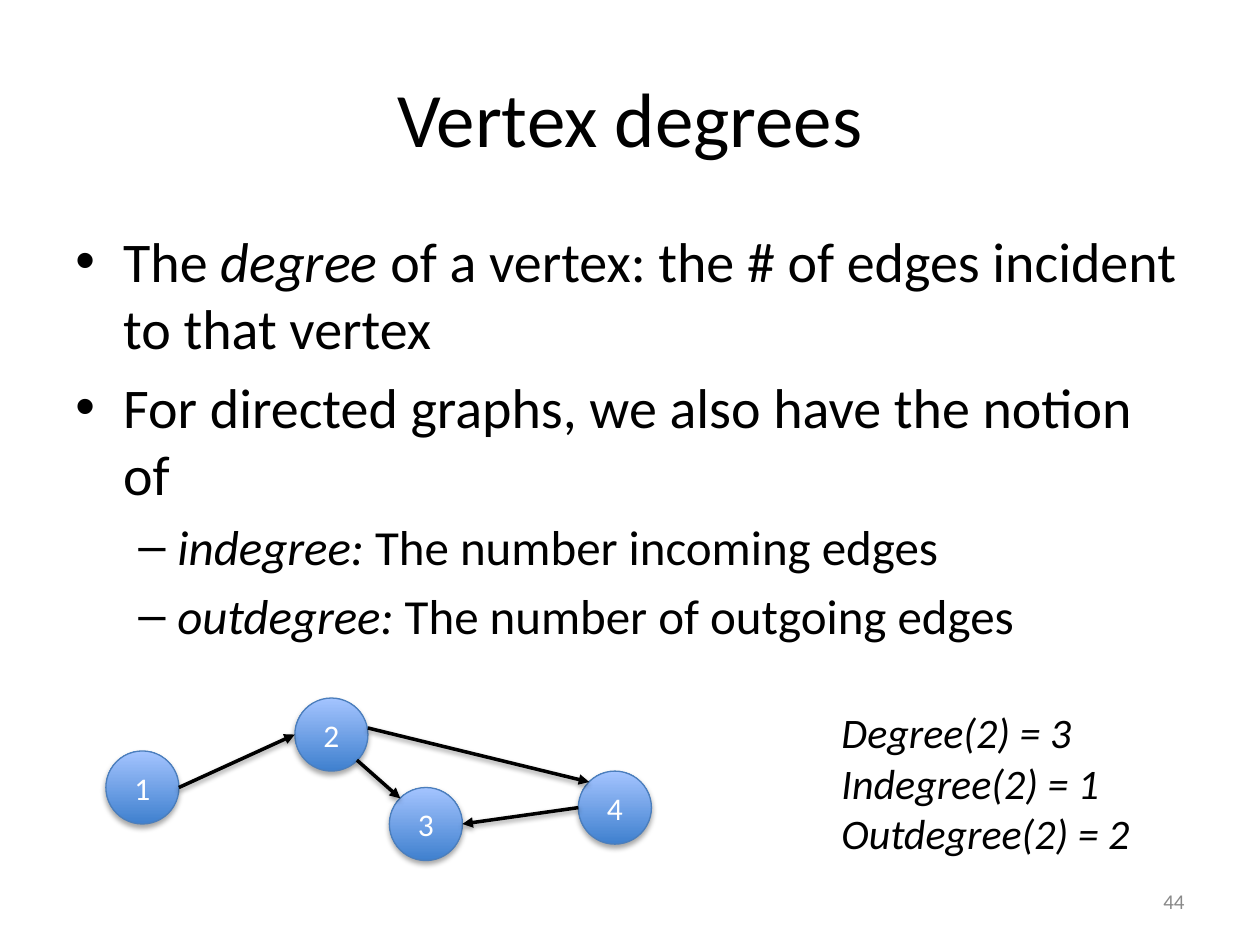
from pptx import Presentation
from pptx.dml.color import RGBColor as RGB
from pptx.enum.shapes import MSO_CONNECTOR as LINE, MSO_SHAPE as FORM
from pptx.enum.text import MSO_ANCHOR as ANCHOR, PP_ALIGN as ALIGN
from pptx.oxml import parse_xml
from pptx.oxml.ns import nsdecls
from pptx.util import Inches, Pt

theme = dict(
    font="Calibri", ink="000000", pale="FFFFFF", grey="898989", rim="4B7EBC",
    deep="3F80CE", light="A4C4FF",
    title=44, body=32, sub=28, note=24, node=18, page=12,
)

deck = Presentation()
deck.slide_width, deck.slide_height = Inches(10), Inches(7.5)
col, row = deck.slide_width / 10, deck.slide_height / 7.5
slide = deck.slides.add_slide(deck.slide_layouts[5])
shapes = slide.shapes


def style(para, size, ink="ink", align=ALIGN.LEFT):
    para.alignment = align
    font = para.font
    font.name, font.size = theme["font"], Pt(theme[size])
    font.color.rgb = RGB.from_string(theme[ink])
    return font


def shade(shape, alpha, dist):
    props = shape._element.spPr
    for old in props.findall("{*}effectLst"):
        props.remove(old)
    props.append(parse_xml(
        f'<a:effectLst {nsdecls("a")}><a:outerShdw blurRad="{Pt(3.1)}" '
        f'dist="{Pt(dist)}" dir="5400000" rotWithShape="0"><a:srgbClr val="{theme["ink"]}">'
        f'<a:alpha val="{alpha * 1000}"/></a:srgbClr></a:outerShdw></a:effectLst>'))


# Title
title = shapes.title
title.left, title.top = int(0.5 * col), int(0.3 * row)
title.width, title.height = int(9 * col), int(1.25 * row)
title.text_frame.text = "Vertex degrees"
title.text_frame.vertical_anchor = ANCHOR.MIDDLE
style(title.text_frame.paragraphs[0], "title", align=ALIGN.CENTER)

# Bullets: level, then runs as (text, italic)
points = [
    (0, [("The ", False), ("degree", True),
         (" of a vertex: the # of edges incident to that vertex", False)]),
    (0, [("For directed graphs, we also have the notion of", False)]),
    (1, [("indegree: ", True), ("The number incoming edges", False)]),
    (1, [("outdegree:", True), (" The number of outgoing edges", False)]),
]
levels = [("body", "•", 0.38, 0.38), ("sub", "–", 0.81, 0.31)]
frame = shapes.add_textbox(
    int(0.5 * col), int(1.75 * row), int(9 * col), int(3.5 * row)).text_frame
frame.word_wrap = True
for i, (level, runs) in enumerate(points):
    size, mark, left, hang = levels[level]
    para = frame.add_paragraph() if i else frame.paragraphs[0]
    para.level = level
    if i:
        para.space_before = Pt(theme[size] * 0.2)
    props = para._p.get_or_add_pPr()
    props.set("marL", str(Inches(left)))
    props.set("indent", str(-Inches(hang)))
    props.append(parse_xml(f'<a:buFont {nsdecls("a")} typeface="Arial"/>'))
    props.append(parse_xml(f'<a:buChar {nsdecls("a")} char="{mark}"/>'))
    style(para, size)
    for text, slant in runs:
        run = para.add_run()
        run.text = text
        run.font.italic = slant

# Graph nodes: left and top in columns and rows
side = 0.58
nodes = {1: (0.84, 5.96), 2: (2.34, 5.54), 4: (4.59, 6.12), 3: (3.09, 6.25)}
for name, (x, y) in nodes.items():
    node = shapes.add_shape(FORM.OVAL, int(x * col), int(y * row),
                            int(side * col), int(side * row))
    node.fill.gradient()
    node.fill.gradient_angle = 90
    for stop, ink, spot in zip(node.fill.gradient_stops, ("deep", "light"), (0, 1)):
        stop.color.rgb = RGB.from_string(theme[ink])
        stop.position = spot
    node.line.color.rgb = RGB.from_string(theme["rim"])
    node.line.width = Pt(0.75)
    shade(node, 35, 1.8)
    node.text_frame.text = str(name)
    node.text_frame.vertical_anchor = ANCHOR.MIDDLE
    style(node.text_frame.paragraphs[0], "node", "pale", ALIGN.CENTER)

# Directed edges: each end is a share of its node's box
edges = [
    (2, (0.85, 0.85), 3, (0.15, 0.15)),
    (2, (1, 0.41), 4, (0.15, 0.15)),
    (1, (1, 0.5), 2, (0, 0.5)),
    (4, (0, 0.5), 3, (1, 0.5)),
]
for start, out, end, into in edges:
    ends = []
    for name, (across, down) in ((start, out), (end, into)):
        x, y = nodes[name]
        ends += [int((x + across * side) * col), int((y + down * side) * row)]
    edge = shapes.add_connector(LINE.STRAIGHT, *ends)
    edge.line.color.rgb = RGB.from_string(theme["ink"])
    edge.line.width = Pt(2)
    edge.line._get_or_add_ln().append(
        parse_xml(f'<a:tailEnd {nsdecls("a")} type="triangle"/>'))
    shade(edge, 38, 1.6)

# Degrees of vertex 2
frame = shapes.add_textbox(
    int(6.58 * col), int(5.56 * row), int(2.92 * col), int(1.31 * row)).text_frame
frame.word_wrap = True
frame.text = "Degree(2) = 3\nIndegree(2) = 1\nOutdegree(2) = 2"
for para in frame.paragraphs:
    style(para, "note").italic = True

# Page number
frame = shapes.add_textbox(
    int(7.17 * col), int(6.95 * row), int(2.33 * col), int(0.4 * row)).text_frame
frame.word_wrap = True
frame.vertical_anchor = ANCHOR.MIDDLE
frame.text = "44"
style(frame.paragraphs[0], "page", "grey", ALIGN.RIGHT)

deck.save("out.pptx")
